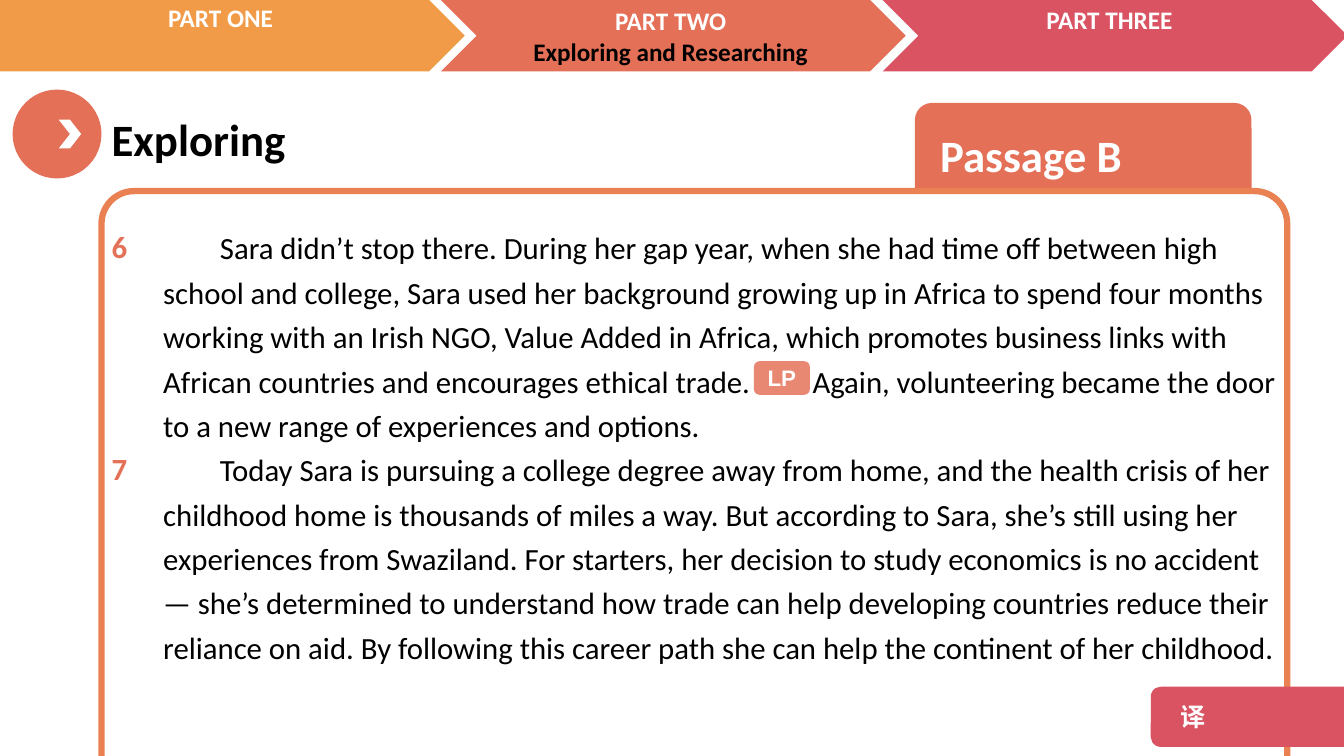
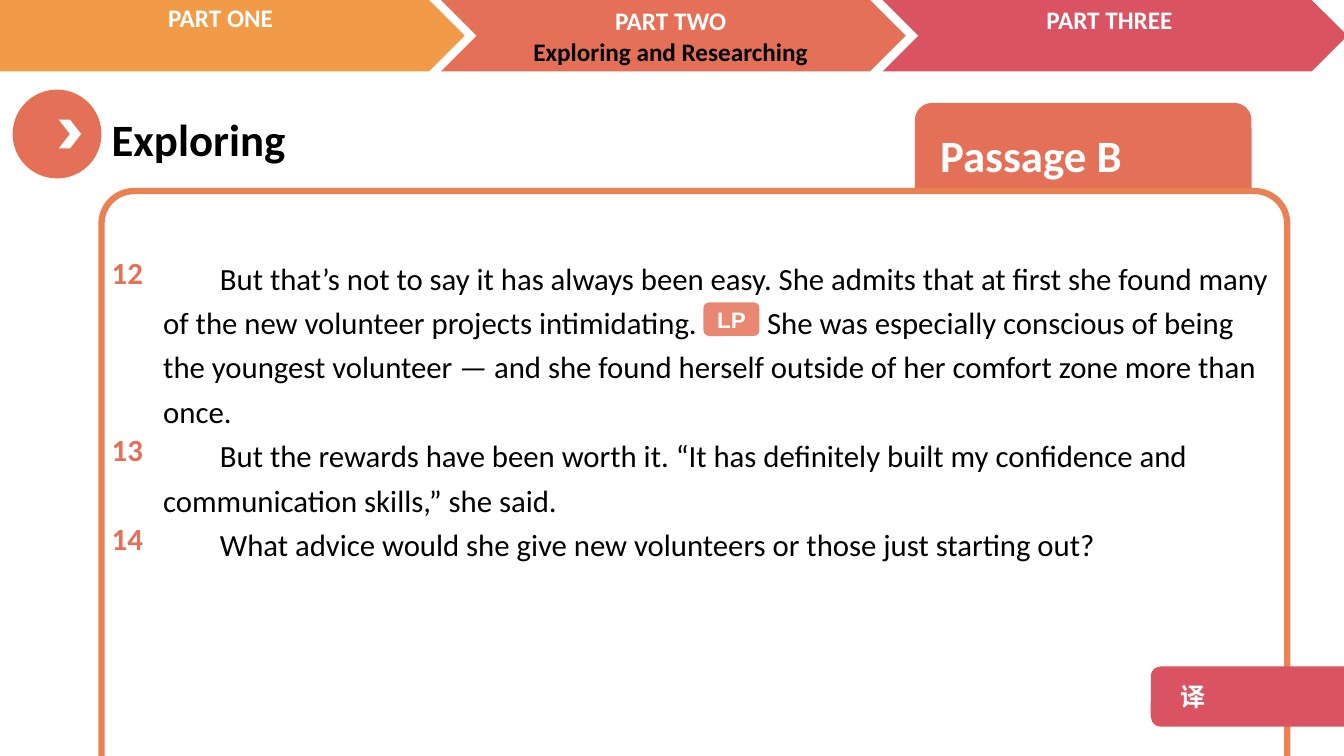
from lxml.etree import SubElement
from pptx import Presentation
from pptx.dml.color import RGBColor
from pptx.enum.shapes import MSO_SHAPE as Preset
from pptx.enum.text import MSO_ANCHOR as Anchor, MSO_AUTO_SIZE as AutoSize, PP_ALIGN as Align
from pptx.oxml.ns import qn
from pptx.util import Pt

# Shared colours, fonts and measures
CORAL, ROSE, AMBER, ORANGE = "E47057", "DA5362", "F19B48", "EA8152"
WHITE, BLACK = "FFFFFF", "000000"
MAIN_FONT, CHINESE_FONT = "Calibri", "Noto Sans CJK SC"
LINE_PITCH = 31.68
FIRST_INDENT = 40.5

TITLE = {"size": 32, "bold": True, "color": BLACK}
TAB_LABEL = {**TITLE, "color": WHITE}
PART = {"size": 18, "bold": True, "color": WHITE}
PART_TOPIC = {**PART, "color": BLACK}
PASSAGE = {"size": 22, "color": BLACK}
NUMBER = {"size": 22, "bold": True, "color": CORAL}
CHINESE = {**PART, "name": CHINESE_FONT}
BADGE = {"size": 16, "bold": True, "color": WHITE, "name": "Arial"}

# Chevron left and width, fill, label left and top, lines of text
PARTS = [
    (315, 332, CORAL, 315, 0.5, [("PART TWO", PART), ("Exploring and Researching", PART_TOPIC)]),
    (630.5, 332, ROSE, 628.5, -0.5, [("PART THREE", PART)]),
    (-44, 376, AMBER, -6.5, -2, [("PART ONE", PART)]),
]

# Each number is paired with the lines its paragraph fills;
# a paragraph in two pieces leaves room for the badge between them
PAGES = [
    {
        "passage_top": 154.8, "numbers_top": 154.1, "badge_gap": 39.5,
        "badge": (538.5, 258), "button_top": 490.5,
        "numbers": [("6", 5), ("7", 5)],
        "passage": [
            ["Sara didn’t stop there. During her gap year, when she had time off between high "
             "school and college, Sara used her background growing up in Africa to spend four "
             "months working with an Irish NGO, Value Added in Africa, which promotes business "
             "links with African countries and encourages ethical trade.",
             "Again, volunteering became the door to a new range of experiences and options."],
            ["Today Sara is pursuing a college degree away from home, and the health crisis of "
             "her childhood home is thousands of miles a way. But according to Sara, she’s still "
             "using her experiences from Swaziland. For starters, her decision to study economics "
             "is no accident — she’s determined to understand how trade can help developing "
             "countries reduce their reliance on aid. By following this career path she can help "
             "the continent of her childhood."],
        ],
    },
    {
        "passage_top": 176.4, "numbers_top": 172.1, "badge_gap": 45,
        "badge": (502.5, 216), "button_top": 476,
        "numbers": [("12", 4), ("13", 2), ("14", 1)],
        "passage": [
            ["But that’s not to say it has always been easy. She admits that at first she found "
             "many of the new volunteer projects intimidating.",
             "She was especially conscious of being the youngest volunteer — and she found "
             "herself outside of her comfort zone more than once."],
            ["But the rewards have been worth it. “It has definitely built my confidence and "
             "communication skills,” she said."],
            ["What advice would she give new volunteers or those just starting out?"],
        ],
    },
]


def rgb(value):
    return RGBColor.from_string(value)


def add_span(para, text, style):
    """Add a run and set its font from a dict of format values."""
    span = para.add_run()
    span.text = text
    values = {"name": MAIN_FONT, **style}
    span.font.color.rgb = rgb(values.pop("color"))
    values["size"] = Pt(values["size"])
    for key, value in values.items():
        setattr(span.font, key, value)
    if span.font.name == CHINESE_FONT:
        SubElement(span.font._element, qn("a:ea"), typeface=CHINESE_FONT)
    return span


def add_gap(para, width, style):
    """Add one space widened by character spacing."""
    span = add_span(para, " ", style)
    span.font._element.set("spc", str(int(width * 100)))


def write(box, lines, align=Align.LEFT, anchor=Anchor.TOP, **margins):
    """Fill a box with one paragraph for each (text, style) pair."""
    frame = box.text_frame
    settings = {"word_wrap": True, "auto_size": AutoSize.NONE, "vertical_anchor": anchor}
    settings.update({f"margin_{side}": Pt(gap) for side, gap in margins.items()})
    for key, value in settings.items():
        setattr(frame, key, value)
    for index, (text, style) in enumerate(lines):
        para = frame.add_paragraph() if index else frame.paragraphs[0]
        para.alignment = align
        add_span(para, text, style)
    return frame.paragraphs


def place(box, left, top, width, height):
    for key, value in zip(("left", "top", "width", "height"), (left, top, width, height)):
        setattr(box, key, Pt(value))


def add_panel(page, preset, area, fill):
    panel = page.shapes.add_shape(preset, *map(Pt, area))
    panel.shadow.inherit = False
    panel.fill.solid()
    panel.fill.fore_color.rgb = rgb(fill)
    panel.line.fill.background()
    return panel


def add_text(page, area, lines, **layout):
    return write(page.shapes.add_textbox(*map(Pt, area)), lines, **layout)


def draw_frame(page):
    """Draw the navigation band, title marker, passage tab and outlined panel."""
    for left, width, fill, *_ in PARTS:
        add_panel(page, Preset.CHEVRON, (left, 0, width, 51), fill)
    for *_, left, top, lines in PARTS:
        add_text(page, (left, top, 328, 51), lines, align=Align.CENTER)
    add_panel(page, Preset.OVAL, (9, 64, 63.5, 63.5), CORAL)
    add_panel(page, Preset.CHEVRON, (42, 85.5, 16, 20.5), WHITE)
    tab = add_panel(page, Preset.ROUNDED_RECTANGLE, (653.5, 73.5, 240.5, 73.5), CORAL)
    write(tab, [("Passage B", TAB_LABEL)], anchor=Anchor.MIDDLE, left=14.5)
    panel = add_panel(page, Preset.ROUNDED_RECTANGLE, (72.5, 136.5, 847, 464.5), WHITE)
    panel.adjustments[0] = 0.05
    panel.line.color.rgb = rgb(ORANGE)
    panel.line.width = Pt(4.5)


def move_to_layout(page, layout):
    """Hand the drawn shapes to the layout, so every slide shows them."""
    drawn = [shape for shape in page.shapes if not shape.is_placeholder]
    for number, shape in enumerate(drawn, 101):
        shape._element.nvSpPr.cNvPr.id = number
        layout.shapes._spTree.append(shape._element)


def write_passage(box, content):
    """Set the passage with indented first lines and a gap for the badge."""
    place(box, 109.4, content["passage_top"], 810, 345)
    passage = content["passage"]
    paras = write(box, [(pieces[0], PASSAGE) for pieces in passage])
    for para, pieces in zip(paras, passage):
        for piece in pieces[1:]:
            add_gap(para, content["badge_gap"], PASSAGE)
            add_span(para, piece, PASSAGE)
        props = para._p.get_or_add_pPr()
        props.set("marL", "0")
        props.set("indent", str(Pt(FIRST_INDENT)))
        SubElement(props, qn("a:buNone"))
        para.line_spacing = Pt(LINE_PITCH)
        para.space_before = Pt(0)


def add_numbers(page, content):
    """Number the paragraphs, each level with its first line."""
    numbers = content["numbers"]
    paras = add_text(page, (72.7, content["numbers_top"], 36.7, 327),
                     [(label, NUMBER) for label, _ in numbers], right=0)
    gaps = [0] + [lines - 1 for _, lines in numbers]
    for para, gap in zip(paras, gaps):
        para.line_spacing = Pt(LINE_PITCH)
        para.space_before = Pt(gap * LINE_PITCH)


def add_badge(page, left, top):
    badge = add_panel(page, Preset.ROUNDED_RECTANGLE, (left, top, 40, 24), CORAL)
    color = badge.fill._xPr.find(qn("a:solidFill"))[0]
    SubElement(color, qn("a:alpha"), val="83000")
    write(badge, [("LP", BADGE)], align=Align.CENTER, anchor=Anchor.MIDDLE,
          left=0, right=0, top=0, bottom=0)


def fill_page(page, content):
    title, body = page.placeholders
    place(title, 72.5, 76.5, 349, 46)
    write(title, [("Exploring", TITLE)])
    write_passage(body, content)
    add_numbers(page, content)
    button = add_panel(page, Preset.ROUNDED_RECTANGLE,
                       (822, content["button_top"], 153.5, 43), ROSE)
    write(button, [("译", CHINESE)], anchor=Anchor.MIDDLE, left=19)
    add_badge(page, *content["badge"])


def main():
    deck = Presentation()
    deck.slide_width, deck.slide_height = Pt(960), Pt(540)
    layout = deck.slide_layouts[1]
    pages = [deck.slides.add_slide(layout) for _ in PAGES]
    draw_frame(pages[0])
    move_to_layout(pages[0], layout)
    for page, content in zip(pages, PAGES):
        fill_page(page, content)
    deck.save("out.pptx")


if __name__ == "__main__":
    main()
